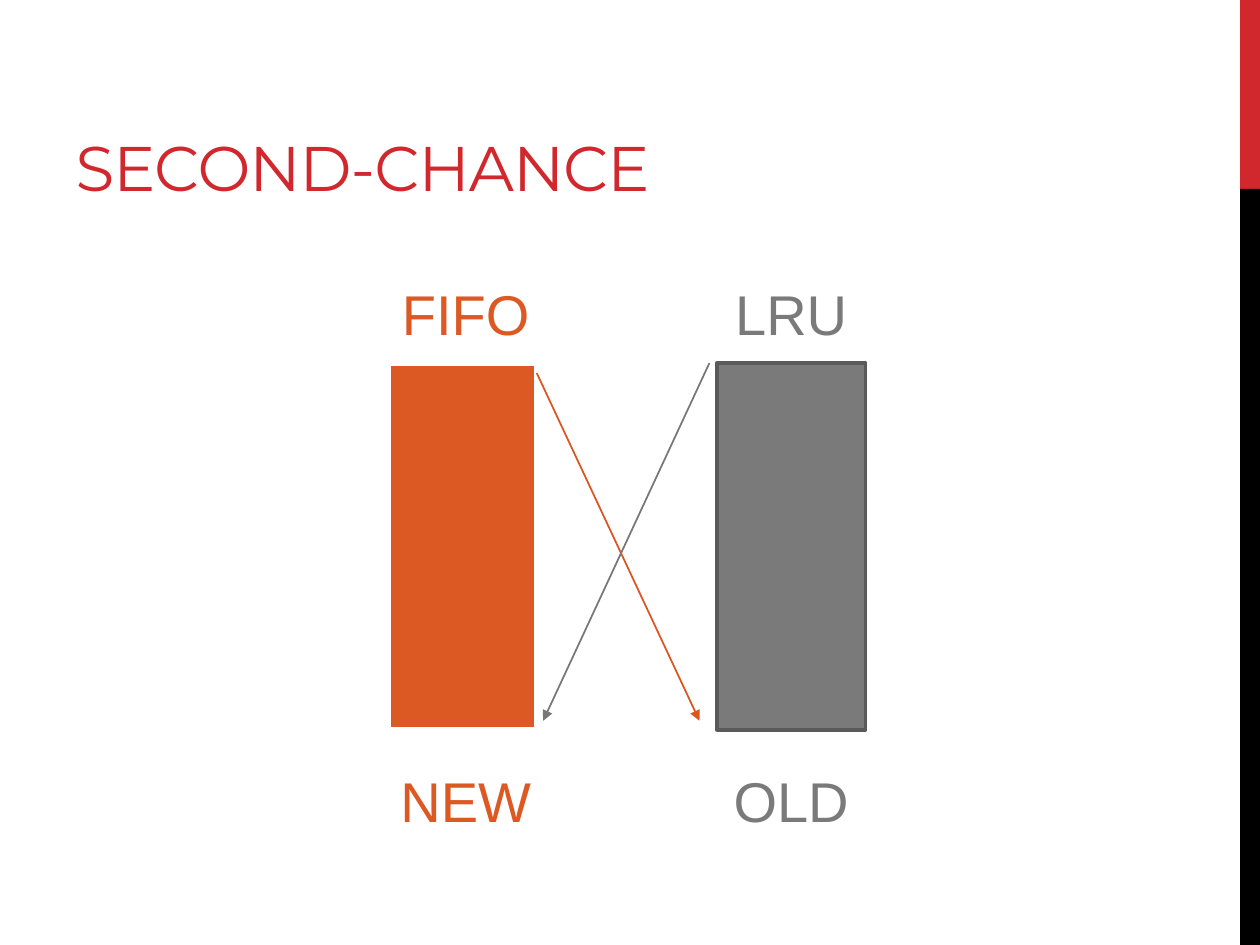
from dataclasses import dataclass

from lxml.etree import SubElement
from pptx import Presentation
from pptx.dml.color import RGBColor
from pptx.enum.shapes import MSO_CONNECTOR, MSO_SHAPE
from pptx.enum.text import MSO_ANCHOR, MSO_AUTO_SIZE, PP_ALIGN
from pptx.oxml.ns import qn
from pptx.slide import Slide
from pptx.util import Cm, Pt

RED = RGBColor(0xD1, 0x28, 0x2E)
BLACK = RGBColor(0, 0, 0)
WHITE = RGBColor(0xFF, 0xFF, 0xFF)
ORANGE = RGBColor(0xDC, 0x59, 0x24)
ORANGE_ARROW = RGBColor(0xDC, 0x55, 0x1F)
GRAY = RGBColor(0x7A, 0x7A, 0x7A)
GRAY_ARROW = RGBColor(0x77, 0x77, 0x77)
GRAY_BORDER = RGBColor(0x5A, 0x5A, 0x5A)

BAR_TOP, BAR_WIDTH, BAR_HEIGHT = 7.32, 3.0, 7.39
LABEL_HEIGHT = 1.63
HEADING_TOP, FOOTING_TOP = 5.51, 15.32
ARROW_END = 14.53


@dataclass
class Label:
    text: str
    width: float


@dataclass
class Queue:
    left: float
    center: float
    color: RGBColor
    border: RGBColor
    border_width: float
    heading: Label
    footing: Label


@dataclass
class Arrow:
    start: tuple[float, float]
    end_x: float
    color: RGBColor


QUEUES = [
    Queue(7.82, 9.39, ORANGE, WHITE, 3.25, Label("FIFO", 3.1), Label("NEW", 3.17)),
    Queue(14.45, 15.95, GRAY, GRAY_BORDER, 2.25, Label("LRU", 2.8), Label("OLD", 2.84)),
]
ARROWS = [
    Arrow((10.82, 7.52), 14.1, ORANGE_ARROW),
    Arrow((14.3, 7.32), 10.95, GRAY_ARROW),
]


def add_rect(s: Slide, left: float, top: float, width: float, height: float,
             fill: RGBColor, border: RGBColor | None = None, border_width: float = 0) -> None:
    sp = s.shapes.add_shape(MSO_SHAPE.RECTANGLE, Cm(left), Cm(top), Cm(width), Cm(height))
    sp.shadow.inherit = False
    sp.fill.solid()
    sp.fill.fore_color.rgb = fill
    if border is None:
        sp.line.fill.background()
    else:
        sp.line.color.rgb = border
        sp.line.width = Pt(border_width)


def add_label(s: Slide, label: Label, center: float, top: float, color: RGBColor) -> None:
    sp = s.shapes.add_textbox(Cm(center - label.width / 2), Cm(top),
                              Cm(label.width), Cm(LABEL_HEIGHT))
    tf = sp.text_frame
    tf.word_wrap = False
    tf.auto_size = MSO_AUTO_SIZE.SHAPE_TO_FIT_TEXT
    p = tf.paragraphs[0]
    p.text = label.text
    p.alignment = PP_ALIGN.CENTER
    p.font.name = "Arial"
    p.font.size = Pt(32)
    p.font.color.rgb = color


def add_queue(s: Slide, queue: Queue) -> None:
    add_rect(s, queue.left, BAR_TOP, BAR_WIDTH, BAR_HEIGHT,
             queue.color, queue.border, queue.border_width)
    add_label(s, queue.heading, queue.center, HEADING_TOP, queue.color)
    add_label(s, queue.footing, queue.center, FOOTING_TOP, queue.color)


def add_arrow(s: Slide, arrow: Arrow) -> None:
    x, y = arrow.start
    sp = s.shapes.add_connector(MSO_CONNECTOR.STRAIGHT, Cm(x), Cm(y),
                                Cm(arrow.end_x), Cm(ARROW_END))
    sp.line.color.rgb = arrow.color
    sp.line.width = Pt(1)
    SubElement(sp.line._get_or_add_ln(), qn("a:tailEnd"), type="triangle")
    SubElement(sp._element.spPr, qn("a:effectLst"))


def set_title(s: Slide, text: str) -> None:
    sp = s.shapes.title
    sp.left, sp.top, sp.width, sp.height = Cm(1.27), Cm(0.43), Cm(16.08), Cm(3.81)
    tf = sp.text_frame
    tf.vertical_anchor = MSO_ANCHOR.BOTTOM
    p = tf.paragraphs[0]
    p.alignment = PP_ALIGN.LEFT
    r = p.add_run()
    r.text = text
    r.font.name = "Montserrat"
    r.font.size = Pt(36)
    r.font.color.rgb = RED
    r._r.get_or_add_rPr().set("spc", "-60")


def main() -> None:
    prs = Presentation()
    prs.slide_width, prs.slide_height = Cm(25.4), Cm(19.05)
    s = prs.slides.add_slide(prs.slide_layouts[5])
    add_rect(s, 25, 0, 0.4, 3.81, RED)
    add_rect(s, 25, 3.81, 0.4, 15.24, BLACK)
    set_title(s, "SECOND-CHANCE")
    for queue in QUEUES:
        add_queue(s, queue)
    for arrow in ARROWS:
        add_arrow(s, arrow)
    prs.save("out.pptx")


if __name__ == "__main__":
    main()
